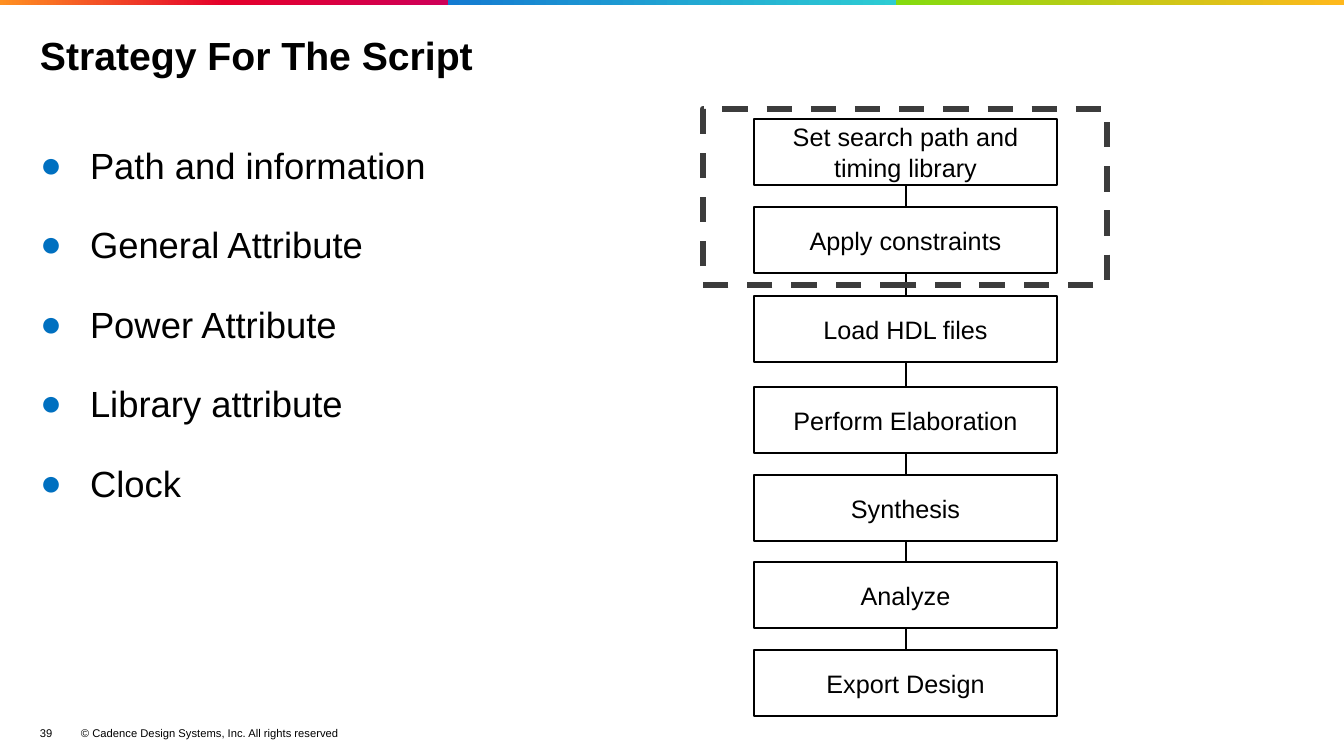
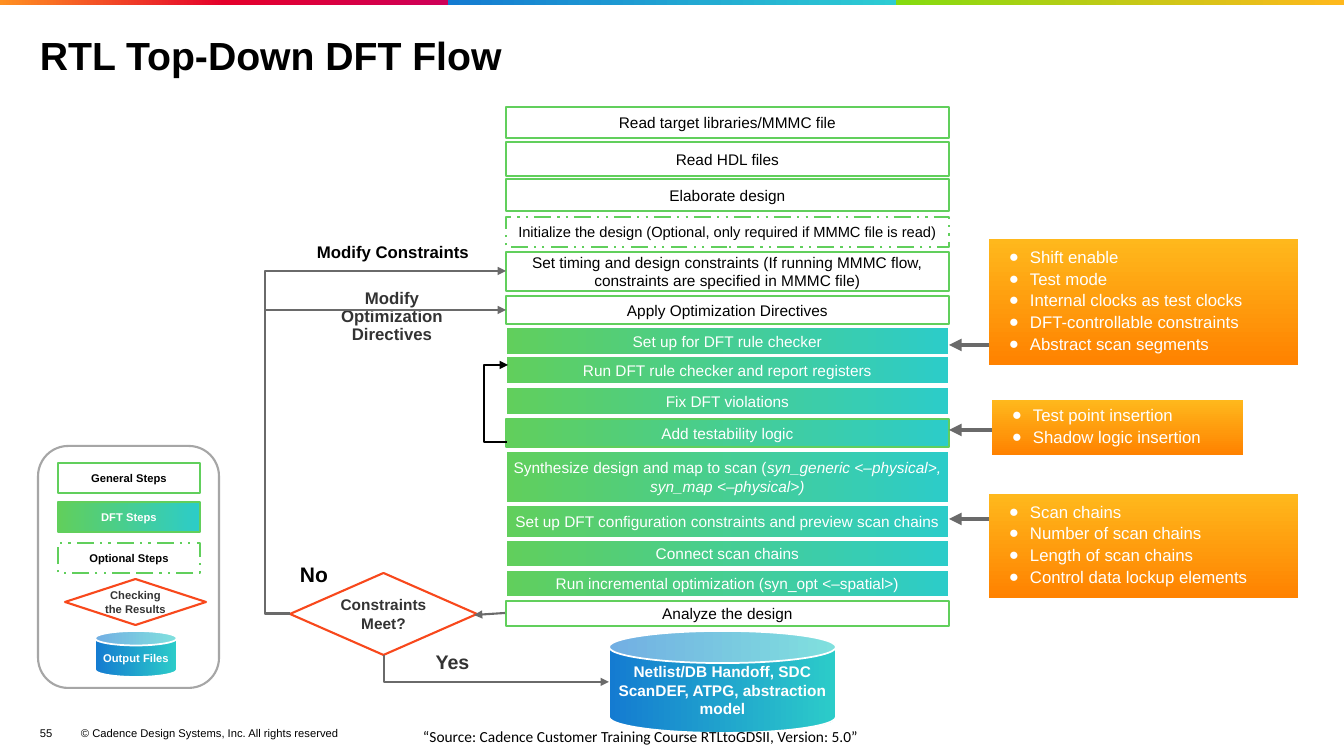
from dataclasses import dataclass

from lxml import etree
from pptx import Presentation
from pptx.dml.color import RGBColor
from pptx.enum.dml import MSO_LINE
from pptx.enum.shapes import MSO_CONNECTOR, MSO_SHAPE
from pptx.enum.text import MSO_ANCHOR, PP_ALIGN
from pptx.oxml import parse_xml
from pptx.oxml.ns import nsdecls, qn
from pptx.util import Emu, Pt

RECT, ROUNDED = MSO_SHAPE.RECTANGLE, MSO_SHAPE.ROUNDED_RECTANGLE
DIAMOND, CAN = MSO_SHAPE.DIAMOND, MSO_SHAPE.CAN
STRAIGHT, ELBOW = MSO_CONNECTOR.STRAIGHT, MSO_CONNECTOR.ELBOW
LEFT, CENTER = PP_ALIGN.LEFT, PP_ALIGN.CENTER
TOP, MIDDLE = MSO_ANCHOR.TOP, MSO_ANCHOR.MIDDLE
DASH, DASH_DOT_DOT = MSO_LINE.DASH, MSO_LINE.DASH_DOT_DOT

SLIDE_WIDTH, SLIDE_HEIGHT = 1344, 756
PX = 12192000 / SLIDE_WIDTH


@dataclass(frozen=True)
class Theme:
    font: str = "Arial"
    source_font: str = "Calibri"
    black: str = "000000"
    white: str = "FFFFFF"
    dark: str = "333333"
    frame: str = "3C3C3C"
    arrow: str = "6A6A6A"
    panel: str = "A6A6A6"
    bullet: str = "0070C0"
    green: str = "61CF5C"
    check: str = "F8481C"
    # Gradients: angle, then evenly spaced colours
    bands: tuple = (
        (0, "FF9021", "E4002B", "CE0058"),
        (0, "147BD1", "2DCCD3"),
        (0, "84DB0F", "FFB81C"),
    )
    dft: tuple = (0, "61CF5C", "2CCCC9")
    output: tuple = (0, "147BD1", "2CCCC9")
    callout: tuple = (90, "FFB81C", "FF8200")
    title_size: float = 28
    body_size: float = 26
    flow_size: float = 18
    yes_size: float = 14
    no_size: float = 15
    note_size: float = 12
    step_size: float = 11
    optional_size: float = 10.5
    small_size: float = 8


THEME = Theme()
GENERAL = dict(fill=THEME.white, line=THEME.green)
OPTIONAL = dict(GENERAL, dash=DASH_DOT_DOT)
DFT = dict(fill=THEME.dft, line=THEME.white, color=THEME.white)
DFT_OUTLINED = dict(DFT, line=THEME.green)
CHECK = dict(fill=THEME.white, line=THEME.check, color=THEME.dark, bold=True)
OUTPUT = dict(fill=THEME.output, line=THEME.white, weight=1.25,
              color=THEME.white, bold=True)


def draw(page, kind, at, paragraphs=(), size=THEME.step_size, fill=None, line=None,
         weight=1.5, dash=None, color=THEME.black, bold=False, font=THEME.font,
         align=CENTER, anchor=MIDDLE, inset=(0, 0), spacing=None, before=0,
         bullet=None, indent=0):
    """Add a shape, or a text box if kind is None; text after "|" is italic."""
    place = [Emu(round(length * PX)) for length in at]
    if kind is None:
        box = page.shapes.add_textbox(*place)
    else:
        box = page.shapes.add_shape(kind, *place)
        box.shadow.inherit = False
        if kind == CAN:
            box.adjustments[0] = 0.315
        if isinstance(fill, tuple):
            angle, *colours = fill
            stops = "".join(
                f'<a:gs pos="{100000 * i // (len(colours) - 1)}">'
                f'<a:srgbClr val="{colour}"/></a:gs>'
                for i, colour in enumerate(colours))
            geometry = box._element.spPr.find(qn("a:prstGeom"))
            geometry.addnext(parse_xml(
                f'<a:gradFill {nsdecls("a")} rotWithShape="1"><a:gsLst>{stops}</a:gsLst>'
                f'<a:lin ang="{angle * 60000}" scaled="0"/></a:gradFill>'))
        elif fill:
            box.fill.solid()
            box.fill.fore_color.rgb = RGBColor.from_string(fill)
        else:
            box.fill.background()
        if line:
            box.line.color.rgb = RGBColor.from_string(line)
            box.line.width = Pt(weight)
            if dash:
                box.line.dash_style = dash
        else:
            box.line.fill.background()

    frame = box.text_frame
    frame.word_wrap = True
    frame.vertical_anchor = anchor
    frame.margin_left = frame.margin_right = Emu(round(inset[0] * PX))
    frame.margin_top = frame.margin_bottom = Emu(round(inset[1] * PX))
    for i, text in enumerate(paragraphs):
        para = frame.add_paragraph() if i else frame.paragraphs[0]
        para.alignment = align
        if bullet:
            props = para._p.get_or_add_pPr()
            props.set("marL", str(round(indent[0] * PX)))
            props.set("indent", str(round(-indent[1] * PX)))
            tint = etree.SubElement(props, qn("a:buClr"))
            etree.SubElement(tint, qn("a:srgbClr"), val=bullet)
            etree.SubElement(props, qn("a:buFont"), typeface=THEME.font)
            etree.SubElement(props, qn("a:buChar"), char="●")
        if spacing:
            para.line_spacing = spacing
        if i and before:
            para.space_before = Pt(before)
        roman, _, italic = text.partition("|")
        for words, slanted in ((roman, False), (italic, True)):
            if words:
                span = para.add_run()
                span.text = words
                span.font.name = font
                span.font.size = Pt(size)
                span.font.bold = bold
                span.font.italic = slanted
                span.font.color.rgb = RGBColor.from_string(color)


def connect(page, start, end, color=THEME.arrow, weight=1.5, arrow=None, via=None):
    """Add a line; via is the x of the upright part of an elbow."""
    ends = [Emu(round(length * PX)) for length in (*start, *end)]
    wire = page.shapes.add_connector(STRAIGHT if via is None else ELBOW, *ends)
    wire.line.color.rgb = RGBColor.from_string(color)
    wire.line.width = Pt(weight)
    props = wire._element.spPr
    if via is not None:
        ratio = round(100000 * (via - start[0]) / (end[0] - start[0]))
        guides = props.find(qn("a:prstGeom")).find(qn("a:avLst"))
        etree.SubElement(guides, qn("a:gd"), name="adj1", fmla=f"val {ratio}")
    if arrow:
        etree.SubElement(props.find(qn("a:ln")), qn(f"a:{arrow}"), type="triangle")
    etree.SubElement(props, qn("a:effectLst"))


deck = Presentation()
deck.slide_width = Emu(round(SLIDE_WIDTH * PX))
deck.slide_height = Emu(round(SLIDE_HEIGHT * PX))

# Title, bands and footer of both slides
pages = []
for title, number in (("Strategy For The Script", "39"), ("RTL Top-Down DFT Flow", "55")):
    page = deck.slides.add_slide(deck.slide_layouts[6])
    pages.append(page)
    band_width = SLIDE_WIDTH // len(THEME.bands)
    for i, band in enumerate(THEME.bands):
        draw(page, RECT, (i * band_width, 0, band_width, 5), fill=band)
    draw(page, None, (30, 10, 1280, 96), [title], THEME.title_size, bold=True,
         align=LEFT, inset=(10, 5), spacing=0.9)
    for left, width, text in (
            (30, 40, number),
            (71, 302, "© Cadence Design Systems, Inc. All rights reserved")):
        draw(page, None, (left, 721, width, 25), [text], THEME.small_size,
             align=LEFT, inset=(10, 5))
strategy, dft_flow = pages

# Slide 1: topics and script flow
topics = ["Path and information", "General Attribute", "Power Attribute",
          "Library attribute", "Clock"]
draw(strategy, None, (30, 111, 640, 605), topics, THEME.body_size, align=LEFT,
     anchor=TOP, inset=(10, 10), spacing=1.5, before=10,
     bullet=THEME.bullet, indent=(50, 50))

script_steps = [
    (119, "Set search path and timing library"),
    (207, "Apply constraints"),
    (296, "Load HDL files"),
    (387, "Perform Elaboration"),
    (475, "Synthesis"),
    (562, "Analyze"),
    (650, "Export Design"),
]
flow_left, flow_width, flow_height = 754, 303, 66
flow_middle = flow_left + flow_width // 2
for top, text in script_steps:
    draw(strategy, RECT, (flow_left, top, flow_width, flow_height), [text],
         THEME.flow_size, fill=THEME.white, line=THEME.black, weight=1, inset=(10, 5))
for (upper, _), (lower, _) in zip(script_steps, script_steps[1:]):
    connect(strategy, (flow_middle + 1, upper + flow_height), (flow_middle + 1, lower),
            THEME.black)
draw(strategy, RECT, (703, 109, 404, 176), line=THEME.frame, weight=4.5, dash=DASH)

# Slide 2: main column of steps
step_left, step_width = 506, 443
flow_steps = [
    (107, 31, "Read target libraries/MMMC file", GENERAL),
    (142, 34, "Read HDL files", GENERAL),
    (179, 32, "Elaborate design", GENERAL),
    (217, 30, "Initialize the design (Optional, only required if MMMC file is read)",
     dict(OPTIONAL, size=THEME.optional_size)),
    (252, 39, "Set timing and design constraints (If running MMMC flow, "
              "constraints are specified in MMMC file)", GENERAL),
    (296, 28, "Apply Optimization Directives", GENERAL),
    (327, 28, "Set up for DFT rule checker", DFT),
    (356, 28, "Run DFT rule checker and report registers", DFT),
    (387, 28, "Fix DFT violations", DFT),
    (419, 28, "Add testability logic", DFT_OUTLINED),
    (451, 52, "Synthesize design and map to scan (|"
              "syn_generic <–physical>, syn_map <–physical>)", DFT),
    (505, 33, "Set up DFT configuration constraints and preview scan chains", DFT),
    (540, 27, "Connect scan chains", DFT),
    (570, 27, "Run incremental optimization (syn_opt <–spatial>)", DFT),
    (601, 25, "Analyze the design", GENERAL),
]
for top, height, text, style in flow_steps:
    draw(dft_flow, RECT, (step_left, top, step_width, height), [text],
         inset=(5, 0), **style)

# Slide 2: decision, output and labels
draw(dft_flow, DIAMOND, (290, 573, 187, 82), ["Constraints Meet?"], **CHECK)
draw(dft_flow, CAN, (609, 631, 227, 102),
     ["Netlist/DB Handoff, SDC", "ScanDEF, ATPG, abstraction model"], **OUTPUT)
labels = [
    ((314, 244, 158, 18), "Modify Constraints", THEME.note_size, THEME.black),
    ((313, 290, 158, 55), "Modify Optimization Directives", THEME.note_size, THEME.dark),
    ((294, 564, 40, 23), "No", THEME.no_size, THEME.black),
    ((432, 653, 41, 21), "Yes", THEME.yes_size, THEME.dark),
]
for at, text, size, color in labels:
    draw(dft_flow, None, at, [text], size, color=color, bold=True, anchor=TOP, spacing=0.9)

# Slide 2: callouts with their arrows
callouts = [
    ((989, 239, 309, 126), 345,
     ["Shift enable", "Test mode", "Internal clocks as test clocks",
      "DFT-controllable constraints", "Abstract scan segments"]),
    ((992, 400, 251, 55), 430, ["Test point insertion", "Shadow logic insertion"]),
    ((989, 494, 309, 104), 519,
     ["Scan chains", "Number of scan chains", "Length of scan chains",
      "Control data lockup elements"]),
]
for at, arrow_y, items in callouts:
    draw(dft_flow, RECT, at, items, THEME.note_size, fill=THEME.callout,
         color=THEME.white, align=LEFT, inset=(10, 0), spacing=0.8, before=4,
         bullet=THEME.white, indent=(31, 21))
    connect(dft_flow, (at[0], arrow_y), (step_left + step_width, arrow_y),
            weight=3, arrow="tailEnd")

# Slide 2: feedback loops and routes of the decision
for start_y, end_y in ((614, 310), (613, 271)):
    connect(dft_flow, (290, start_y), (step_left, end_y), arrow="tailEnd", via=265)
connect(dft_flow, (507, 442), (508, 365), THEME.black, 1.25, "tailEnd", via=484)
connect(dft_flow, (609, 682), (384, 655), weight=1.25, arrow="headEnd", via=384)
connect(dft_flow, (505, 613), (474, 615), arrow="tailEnd")

# Slide 2: legend
draw(dft_flow, ROUNDED, (38, 446, 181, 242), fill=THEME.white, line=THEME.panel)
legend = [
    (RECT, (58, 463, 142, 30), "General Steps", GENERAL),
    (RECT, (58, 502, 142, 30), "DFT Steps", DFT_OUTLINED),
    (RECT, (58, 543, 142, 30), "Optional Steps", OPTIONAL),
    (DIAMOND, (65, 579, 141, 46), "Checking the Results", CHECK),
    (CAN, (95, 631, 82, 46), "Output Files", OUTPUT),
]
for kind, at, text, style in legend:
    draw(dft_flow, kind, at, [text], **dict(style, size=THEME.small_size, bold=True))

draw(dft_flow, None, (413, 722, 675, 29),
     ["“Source: Cadence Customer Training Course RTLtoGDSII, Version: 5.0”"],
     font=THEME.source_font, align=LEFT, anchor=TOP, inset=(10, 5))

deck.save("out.pptx")
